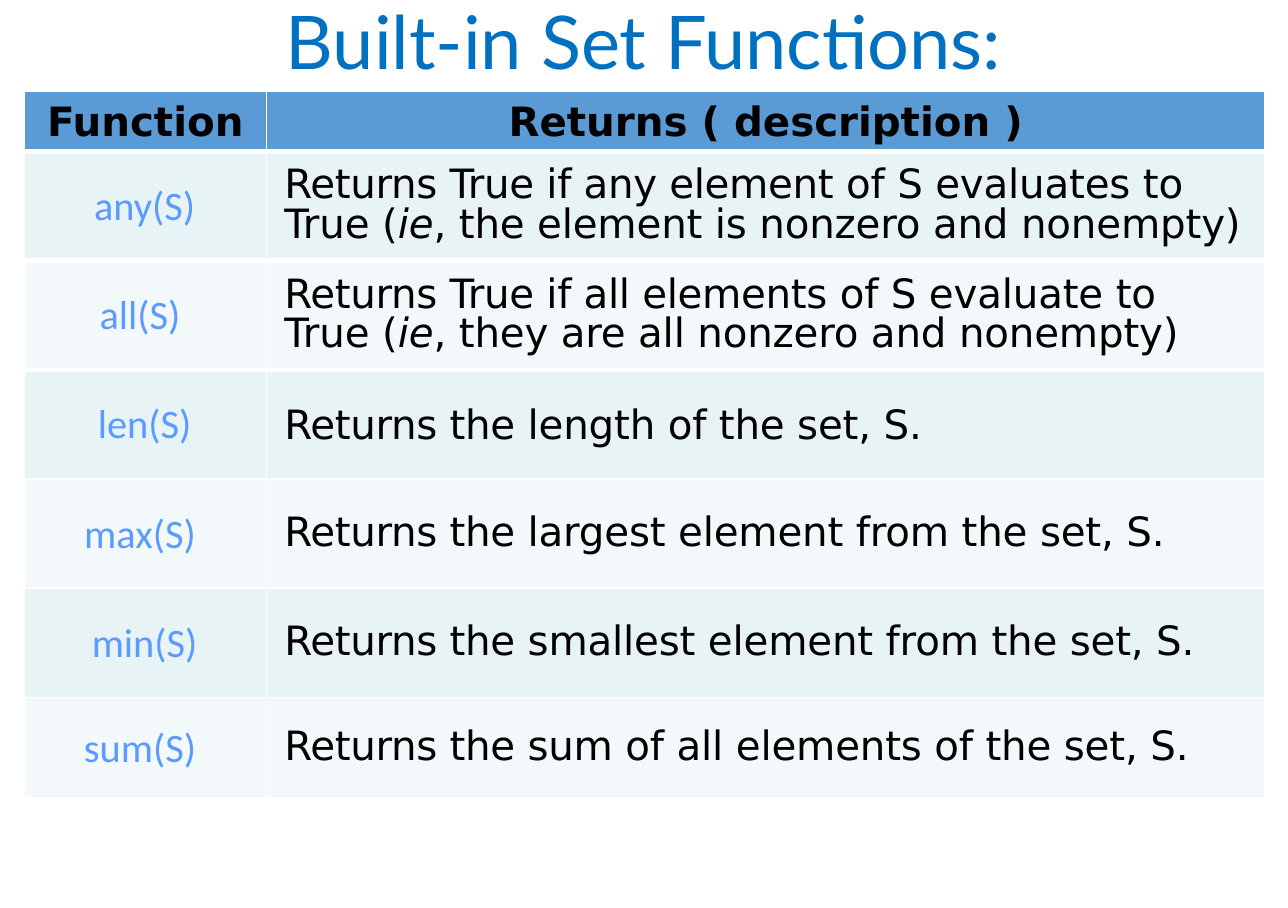
import pptx
import pptx.dml.color
import pptx.enum.text
import pptx.oxml
import pptx.oxml.ns
import pptx.util
from pptx.util import Cm

COLOURS = {
    "title": "0070C0",
    "header": "5B9BD5",
    "function": "5B9BFF",
    "text": "000000",
    "odd_row": "E7F3F4",
    "even_row": "F3F9FA",
    "border": "FFFFFF",
}
HEADINGS = ["Function", "Returns ( description )"]
# Function name, then the pieces of its description; "ie" is set in italics
FUNCTIONS = [
    ("any(S)", ["Returns True if any element ", "of S evaluates to True (", "ie",
                ", the element is nonzero and nonempty)"]),
    ("all(S) ", ["Returns True if all elements ", "of S evaluate to\nTrue (", "ie",
                 ", they are all nonzero and nonempty)"]),
    ("len(S)", ["Returns the", " length of the set, S."]),
    ("max(S) ", ["Returns the", " largest element from the set, S."]),
    ("min(S)", ["Returns the", " smallest element from the set, S."]),
    ("sum(S) ", ["Returns the ", "sum of all elements of the set, S."]),
]
COLUMN_WIDTHS = [Cm(5.08), Cm(20.96)]
ROW_HEIGHTS = [Cm(1.27)] + [Cm(2.29)] * 5 + [Cm(2.11)]
THICK_RULES = 3  # rules under the first rows are thick
CENTER = pptx.enum.text.PP_ALIGN.CENTER
LEFT = pptx.enum.text.PP_ALIGN.LEFT
MIDDLE = pptx.enum.text.MSO_ANCHOR.MIDDLE


def rgb(name):
    return pptx.dml.color.RGBColor.from_string(COLOURS[name])


def add_text(para, text, size=24, font="DejaVu Sans", colour="text",
             bold=False, italic=False, spacing=0):
    """Add text to a paragraph; spacing is in hundredths of a point."""
    for number, line in enumerate(text.split("\n")):
        if number:
            para.add_line_break()
        span = para.add_run()
        span.text = line
        span.font.size = pptx.util.Pt(size)
        span.font.name = font
        span.font.bold = bold
        span.font.italic = italic
        span.font.color.rgb = rgb(colour)
        if spacing:
            span.font._element.set("spc", str(spacing))


def set_borders(cell, top, bottom):
    properties = cell._tc.get_or_add_tcPr()
    for side, points in (("L", 1), ("R", 1), ("T", top), ("B", bottom)):
        properties.append(pptx.oxml.parse_xml(
            f'<a:ln{side} {pptx.oxml.ns.nsdecls("a")} w="{points * 12700}">'
            f'<a:solidFill><a:srgbClr val="{COLOURS["border"]}"/></a:solidFill>'
            f'</a:ln{side}>'))


def format_cell(cell, row, fill, left=Cm(0.03), align=CENTER):
    """Format a cell and return its paragraph."""
    set_borders(cell, top=3 if 1 <= row <= THICK_RULES else 1,
                bottom=3 if row < THICK_RULES else 1)
    cell.fill.solid()
    cell.fill.fore_color.rgb = rgb(fill)
    cell.vertical_anchor = MIDDLE
    cell.margin_left = left
    cell.margin_right = cell.margin_top = Cm(0.03)
    cell.margin_bottom = 0
    para = cell.text_frame.paragraphs[0]
    para.alignment = align
    return para


def add_title(page, text):
    title = page.shapes.title
    title.left, title.top, title.width, title.height = Cm(0.18), 0, Cm(26.67), Cm(1.91)
    frame = title.text_frame
    frame.auto_size = pptx.enum.text.MSO_AUTO_SIZE.NONE
    frame.vertical_anchor = MIDDLE
    para = frame.paragraphs[0]
    para.alignment = CENTER
    para.line_spacing = 0.9
    add_text(para, text, size=44, font="Lato", colour="title")


def add_function_table(page):
    table = page.shapes.add_table(
        len(ROW_HEIGHTS), len(COLUMN_WIDTHS), Cm(0.51), Cm(1.91),
        sum(COLUMN_WIDTHS), sum(ROW_HEIGHTS)).table
    table.horz_banding = False
    for column, width in zip(table.columns, COLUMN_WIDTHS):
        column.width = width
    for line, height in zip(table.rows, ROW_HEIGHTS):
        line.height = height

    # Header row
    for column, heading in enumerate(HEADINGS):
        para = format_cell(table.cell(0, column), 0, "header")
        add_text(para, heading, bold=True)

    # One row per function
    for row, (name, pieces) in enumerate(FUNCTIONS, start=1):
        fill = "odd_row" if row % 2 else "even_row"
        para = format_cell(table.cell(row, 0), row, fill, left=0)
        add_text(para, name, font="Calibri", colour="function")
        para = format_cell(table.cell(row, 1), row, fill, left=Cm(0.38), align=LEFT)
        para.line_spacing = 1.0 if name == "len(S)" else 0.85
        for number, piece in enumerate(pieces):
            add_text(para, piece, italic=piece == "ie",
                     spacing=-10 if number else -20)


def main():
    deck = pptx.Presentation()
    deck.slide_width, deck.slide_height = Cm(27.03), Cm(19.05)
    page = deck.slides.add_slide(deck.slide_layouts.get_by_name("Title Only"))
    add_function_table(page)
    add_title(page, "Built-in Set Functions:")
    deck.save("out.pptx")


if __name__ == "__main__":
    main()
